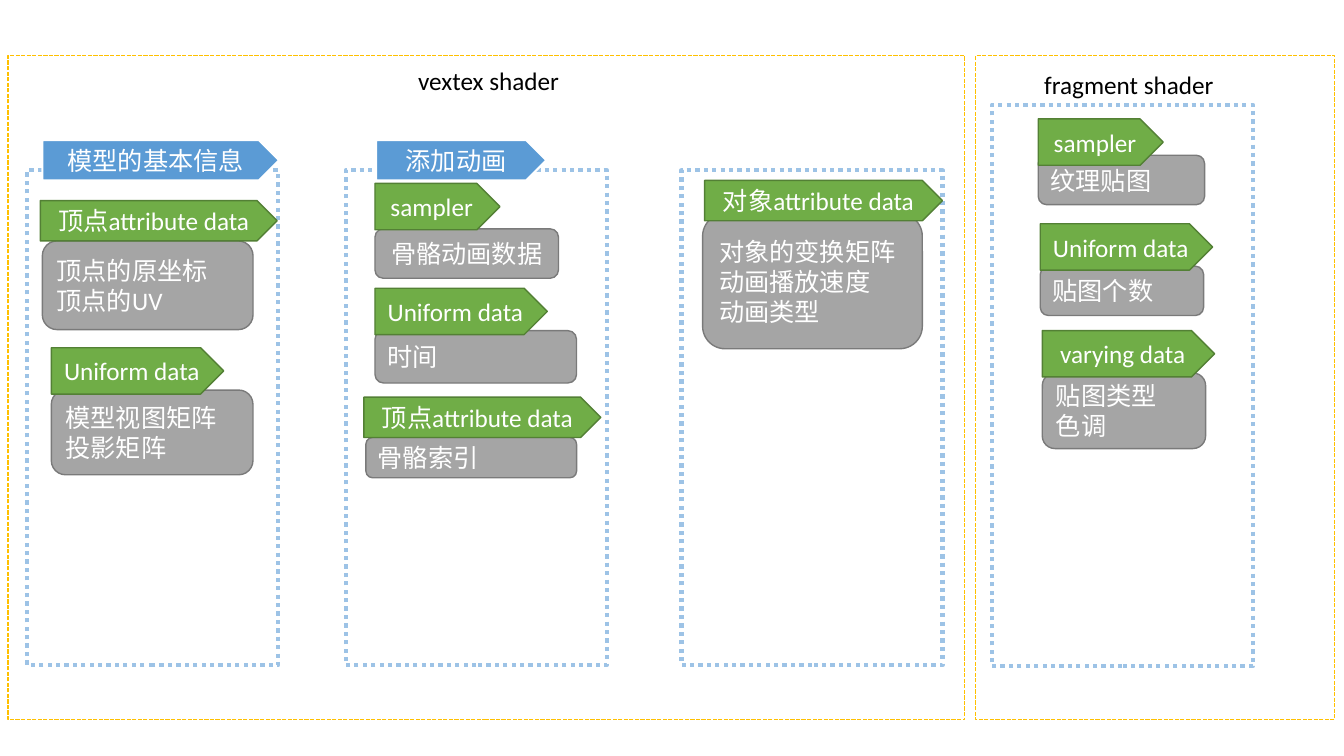
"""Build a slide mapping shader stages to the data that each one receives."""
from pptx import Presentation
from pptx import util as u
from pptx.dml.color import RGBColor
from pptx.enum import dml, shapes, text

CELL = u.Inches(0.1)
COLUMNS, ROWS = 133.33, 75
COLORS = {
    "white": "FFFFFF", "black": "000000", "stage": "FFC000", "panel": "9DC3E6",
    "heading": "5B9BD5", "tag": "70AD47", "tag line": "538035",
    "body": "A5A5A5", "body line": "7A7A7A",
}
TAG_SIZES = {
    "sampler": (12.4, 4.6),
    "Uniform data": (17.1, 4.6),
    "varying data": (17.1, 4.6),
    "顶点attribute data": (23.5, 4),
    "对象attribute data": (23.6, 4),
}
STAGES = [(0.8, 5.5, 94.9, 65.9), (96.8, 5.5, 35.6, 65.9)]
PANELS = [
    (2.7, 16.9, 24.9, 49.1), (34.3, 16.9, 25.9, 49.1),
    (67.6, 16.9, 25.9, 49.1), (98.4, 10.4, 25.9, 55.7),
]
TITLES = [("vextex shader", (40.5, 6, 16.7, 4)), ("fragment shader", (102.6, 6.4, 21.8, 4))]
HEADINGS = [("模型的基本信息", (4.2, 13.9, 23.5, 4)), ("添加动画", (37.3, 13.9, 16.9, 4))]
CARDS = [
    ("顶点attribute data", (4, 19.9), ["顶点的原坐标", "顶点的UV"], (4.2, 23.9, 20.9, 8.8)),
    ("Uniform data", (5.1, 34.5), ["模型视图矩阵", "投影矩阵"], (5.1, 38.7, 20, 8.4)),
    ("sampler", (37.2, 18.2), ["骨骼动画数据"], (37.2, 22.7, 18.2, 4.9)),
    ("Uniform data", (37.2, 28.6), ["时间"], (37.2, 32.8, 20, 5.2)),
    ("顶点attribute data", (36.1, 39.4), ["骨骼索引"], (36.3, 43.4, 20.9, 4)),
    ("对象attribute data", (69.9, 17.9), ["对象的变换矩阵", "动画播放速度", "动画类型"],
     (69.7, 21.2, 21.8, 13.4)),
    ("sampler", (103, 11.8), ["纹理贴图"], (103, 15.4, 16.5, 4.9)),
    ("Uniform data", (103.2, 22.2), ["贴图个数"], (103.2, 26.4, 16.2, 4.9)),
    ("varying data", (103.4, 32.8), ["贴图类型", "色调"], (103.4, 37, 16.2, 7.5)),
]


def color(name):
    """Return the named colour."""
    return RGBColor.from_string(COLORS[name])


def cells(box):
    """Turn grid counts into slide lengths."""
    return [round(count * CELL) for count in box]


def write(shape, lines, font_color, alignment):
    """Write one paragraph for each line."""
    frame = shape.text_frame
    frame.word_wrap = True
    frame.text = "\n".join(lines)
    for paragraph in frame.paragraphs:
        paragraph.alignment = alignment
        paragraph.font.name = "Calibri"
        paragraph.font.size = u.Pt(18)
        paragraph.font.color.rgb = color(font_color)


def add_outlined(slide, kind, box, line, width):
    """Add a preset shape with an outline and no shadow."""
    shape = slide.shapes.add_shape(kind, *cells(box))
    shape.shadow.inherit = False
    shape.line.color.rgb = color(line)
    shape.line.width = u.Pt(width)
    return shape


def add_frame(slide, box, line, width, dash):
    """Add an unfilled, dashed rectangle."""
    frame = add_outlined(slide, shapes.MSO_SHAPE.RECTANGLE, box, line, width)
    frame.fill.background()
    frame.line.dash_style = dash


def add_label(slide, kind, box, lines, fill, line, width=1, alignment=text.PP_ALIGN.CENTER):
    """Add a filled shape with white text."""
    label = add_outlined(slide, kind, box, line, width)
    label.fill.solid()
    label.fill.fore_color.rgb = color(fill)
    label.text_frame.vertical_anchor = text.MSO_ANCHOR.MIDDLE
    write(label, lines, "white", alignment)


def add_card(slide, tag, corner, lines, box):
    """Add a grey body and the green tag that overlaps it."""
    centered = lines == ["骨骼动画数据"]
    alignment = text.PP_ALIGN.CENTER if centered else text.PP_ALIGN.LEFT
    add_label(slide, shapes.MSO_SHAPE.ROUNDED_RECTANGLE, box, lines,
              "body", "body line", alignment=alignment)
    add_label(slide, shapes.MSO_SHAPE.PENTAGON, corner + TAG_SIZES[tag], [tag],
              "tag", "tag line")


def add_title(slide, title, box):
    """Add a stage title."""
    textbox = slide.shapes.add_textbox(*cells(box))
    write(textbox, [title], "black", text.PP_ALIGN.LEFT)
    textbox.text_frame.auto_size = text.MSO_AUTO_SIZE.SHAPE_TO_FIT_TEXT


def main():
    """Build and save the presentation."""
    presentation = Presentation()
    presentation.slide_width, presentation.slide_height = cells((COLUMNS, ROWS))
    slide = presentation.slides.add_slide(presentation.slide_layouts[6])
    for box in STAGES:
        add_frame(slide, box, "stage", 1, dml.MSO_LINE.SQUARE_DOT)
    for box in PANELS:
        add_frame(slide, box, "panel", 3, dml.MSO_LINE.ROUND_DOT)
    for title, box in TITLES:
        add_title(slide, title, box)
    for card in CARDS:
        add_card(slide, *card)
    for heading, box in HEADINGS:
        add_label(slide, shapes.MSO_SHAPE.PENTAGON, box, [heading], "heading", "white", 1.5)
    presentation.save("out.pptx")


if __name__ == "__main__":
    main()
